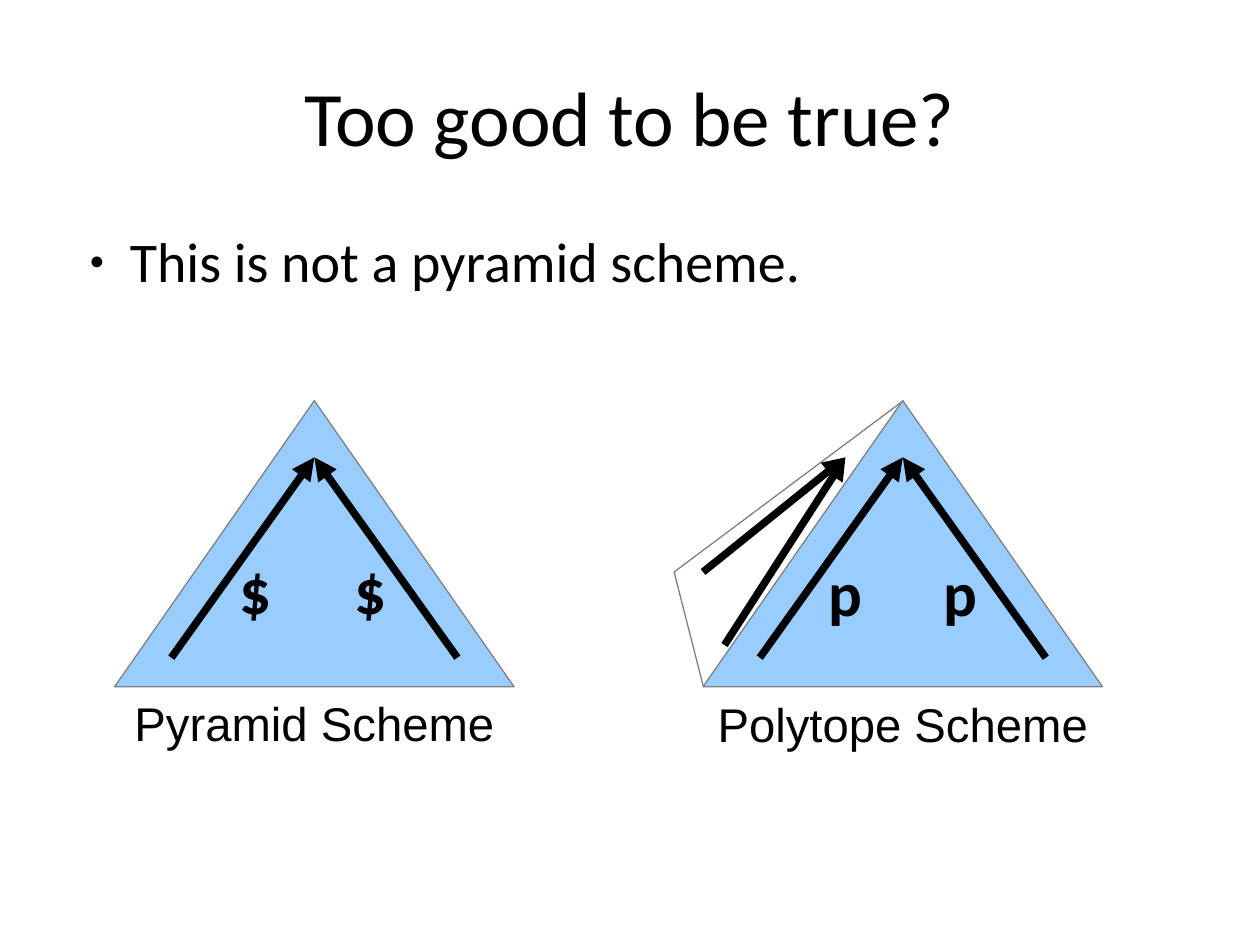
from lxml import etree
from pptx import Presentation
from pptx.dml.color import RGBColor
from pptx.enum.shapes import MSO_CONNECTOR, MSO_SHAPE
from pptx.enum.text import MSO_ANCHOR, PP_ALIGN
from pptx.oxml.ns import qn
from pptx.util import Inches, Pt

STRAIGHT = MSO_CONNECTOR.STRAIGHT
TRIANGLE = MSO_SHAPE.ISOSCELES_TRIANGLE
MIDDLE = MSO_ANCHOR.MIDDLE
CENTER = PP_ALIGN.CENTER
LEFT = PP_ALIGN.LEFT

BLACK = RGBColor(0x00, 0x00, 0x00)
GRAY = RGBColor(0x80, 0x80, 0x80)
SKY = RGBColor(0x99, 0xCC, 0xFF)

BASE_WIDTH = 3.17
PYRAMID_LEFT = 0.91
POLYTOPE_LEFT = 5.58


def place(shape, left, top, width, height):
    """Move and size a shape, in inches."""
    shape.left, shape.top = Inches(left), Inches(top)
    shape.width, shape.height = Inches(width), Inches(height)


def set_insets(frame, side, top, bottom):
    """Set the inner margins of a text frame, in inches."""
    frame.margin_left = frame.margin_right = Inches(side)
    frame.margin_top, frame.margin_bottom = Inches(top), Inches(bottom)


def write(paragraph, text, size, font="Calibri", bold=False):
    """Add one black run to a paragraph."""
    run = paragraph.add_run()
    run.text = text
    run.font.name, run.font.size, run.font.bold = font, Pt(size), bold
    run.font.color.rgb = BLACK


def add_title(slide, text):
    """Fill the title placeholder."""
    title = slide.shapes.title
    place(title, 0.5, 0.3, 9, 1.25)
    frame = title.text_frame
    frame.vertical_anchor = MIDDLE
    set_insets(frame, 0.1, 0.04, 0.05)
    frame.paragraphs[0].alignment = CENTER
    write(frame.paragraphs[0], text, 44)


def add_bullet(slide, text):
    """Fill the body placeholder with one bulleted line."""
    body = slide.placeholders[1]
    place(body, 0.5, 1.75, 9, 4.95)
    paragraph = body.text_frame.paragraphs[0]
    properties = paragraph._p.get_or_add_pPr()
    properties.set("marL", str(Inches(0.43)))
    properties.set("indent", str(Inches(-0.32)))
    etree.SubElement(properties, qn("a:buSzPct"), val="45000")
    etree.SubElement(properties, qn("a:buChar"), char="●")
    write(paragraph, text, 32)


def add_label(shapes, text, box, insets, size, font, bold, alignment):
    """Add a text box with a single line."""
    label = shapes.add_textbox(*map(Inches, box))
    frame = label.text_frame
    frame.word_wrap = True
    set_insets(frame, *insets)
    frame.paragraphs[0].alignment = alignment
    write(frame.paragraphs[0], text, size, font, bold)


def add_line(shapes, start, end, color, width):
    """Add a straight line without shadow."""
    line = shapes.add_connector(STRAIGHT, *map(Inches, (*start, *end)))
    line.line.color.rgb = color
    line.line.width = Pt(width)
    etree.SubElement(line._element.spPr, qn("a:effectLst"))
    return line


def add_arrow(shapes, start, end):
    """Add a thick black arrow that points at its end."""
    arrow = add_line(shapes, start, end, BLACK, 4.31)
    etree.SubElement(arrow.line._get_or_add_ln(), qn("a:tailEnd"), type="triangle")


def add_triangle(shapes, left):
    """Add the blue triangle of a scheme."""
    triangle = shapes.add_shape(TRIANGLE, *map(Inches, (left, 3.18, BASE_WIDTH, 2.27)))
    triangle.shadow.inherit = False
    triangle.fill.solid()
    triangle.fill.fore_color.rgb = SKY
    triangle.line.color.rgb = GRAY
    triangle.line.width = Pt(0.75)


def add_side_face(shapes):
    """Add the open face on the left of the polytope, with its arrows."""
    corner = (5.35, 4.54)
    for end in ((7.17, 3.18), (POLYTOPE_LEFT, 5.44)):
        add_line(shapes, corner, end, GRAY, 0.75)
    for start in ((5.58, 4.54), (5.75, 5.12)):
        add_arrow(shapes, start, (6.71, 3.63))


def add_scheme(shapes, left, name, symbol, symbol_height, insets):
    """Add a triangle with two rising arrows, two symbols and a caption."""
    add_triangle(shapes, left)
    center = left + BASE_WIDTH / 2
    for direction in (-1, 1):
        add_arrow(shapes, (center + direction * 1.135, 5.22), (center, 3.63))
    for offset in (0.9, 1.81):
        add_label(shapes, symbol, (left + offset, 4.31, 0.45, symbol_height),
                  insets, 36, "Calibri", True, LEFT)
    add_label(shapes, name, (left, 5.44, BASE_WIDTH, 0.51),
              insets, 27, "Arial", False, CENTER)


def main():
    """Build the slide and save it."""
    deck = Presentation()
    deck.slide_width, deck.slide_height = Inches(10), Inches(7.5)
    slide = deck.slides.add_slide(deck.slide_layouts[1])
    add_title(slide, "Too good to be true?")
    add_bullet(slide, "This is not a pyramid scheme.")
    add_scheme(slide.shapes, PYRAMID_LEFT, "Pyramid Scheme", "$", 0.99,
               (0.09, 0.07, 0.04))
    polytope = slide.shapes.add_group_shape().shapes
    add_scheme(polytope, POLYTOPE_LEFT, "Polytope Scheme", "p", 0.65,
               (0.1, 0.08, 0.05))
    add_side_face(polytope)
    deck.save("out.pptx")


if __name__ == "__main__":
    main()
